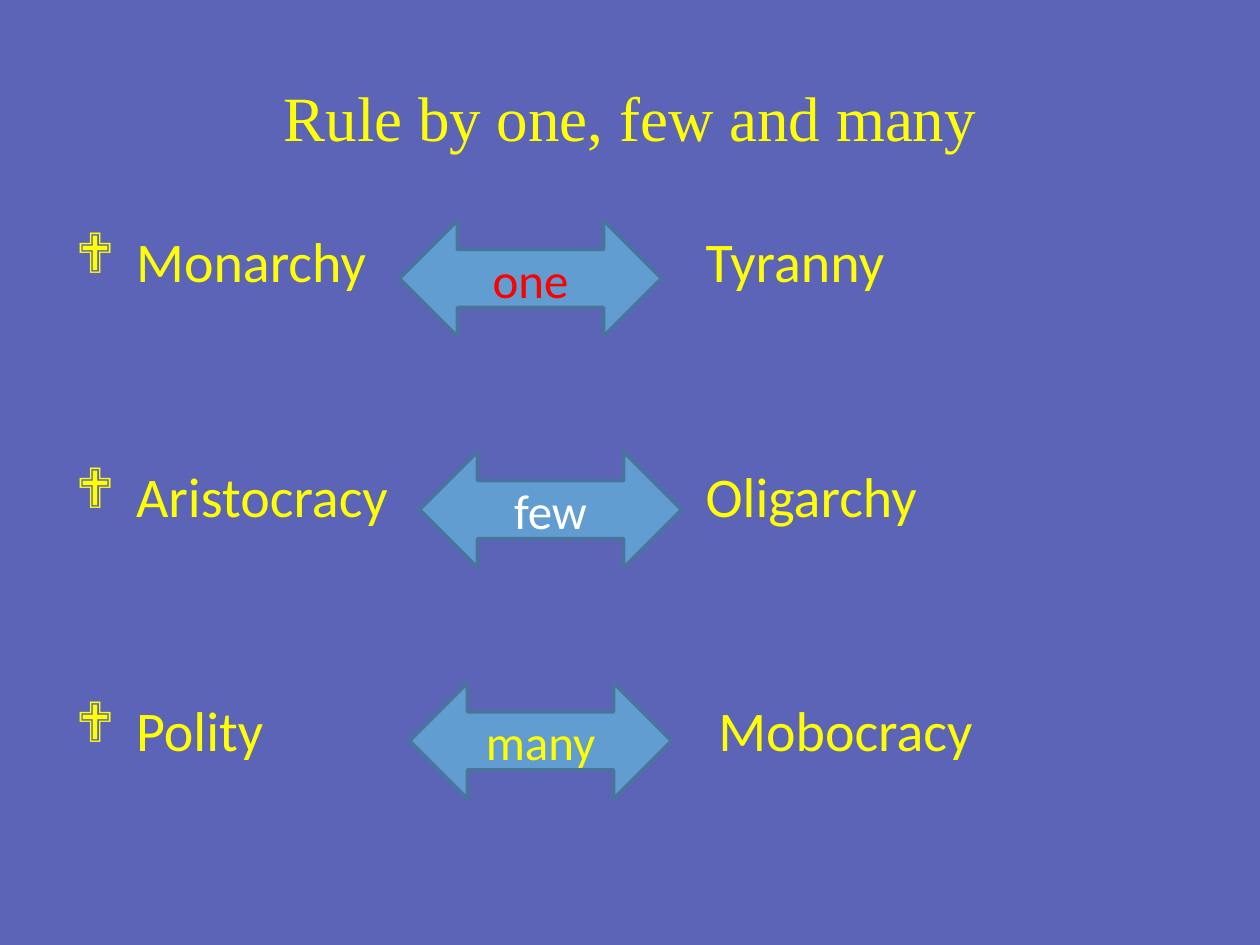
from typing import NamedTuple

from lxml.etree import SubElement
from pptx import Presentation
from pptx.dml.color import RGBColor
from pptx.enum.shapes import MSO_SHAPE
from pptx.enum.text import MSO_ANCHOR, MSO_AUTO_SIZE, PP_ALIGN
from pptx.oxml.ns import qn
from pptx.util import Inches, Pt

YELLOW = "FFFF00"
BACKGROUND = "5C64B7"
ARROW_FILL = "629DD1"
ARROW_LINE = "49749B"
ARROW_TOP, ARROW_PITCH = 1.75, 1.835
ARROW_WIDTH, ARROW_HEIGHT = 2.08, 0.92
HANGING_INDENT = 0.38
TAB_POSITION = 5
FIRST_SPACE, ROW_SPACE = 6, 95.5


class Regime(NamedTuple):
    good_form: str
    corrupt_form: str
    rulers: str
    rulers_color: str
    arrow_left: float


REGIMES = [
    Regime("Monarchy", "Tyranny", "one", "FF0000", 3.17),
    Regime("Aristocracy", "Oligarchy", "few", "FFFFFF", 3.33),
    Regime("Polity", " Mobocracy", "many", YELLOW, 3.25),
]


def color(value: str) -> RGBColor:
    return RGBColor.from_string(value)


def write(paragraph, text: str, size: float, text_color: str, name: str = "Calibri") -> None:
    run = paragraph.add_run()
    run.text = text
    for attribute, value in {"size": Pt(size), "name": name}.items():
        setattr(run.font, attribute, value)
    run.font.color.rgb = color(text_color)


def place(shape, left: float, top: float, width: float, height: float) -> None:
    box = {"left": left, "top": top, "width": width, "height": height}
    for attribute, value in box.items():
        setattr(shape, attribute, Inches(value))


def format_list_item(paragraph) -> None:
    """Give the paragraph a diamond bullet, a hanging indent and a tab stop."""
    properties = paragraph._p.get_or_add_pPr()
    properties.set("marL", str(Inches(HANGING_INDENT)))
    properties.set("indent", str(-Inches(HANGING_INDENT)))
    SubElement(properties, qn("a:buFont"), typeface="Wingdings")
    SubElement(properties, qn("a:buChar"), char="❖")
    tabs = SubElement(properties, qn("a:tabLst"))
    SubElement(tabs, qn("a:tab"), pos=str(Inches(TAB_POSITION)), algn="l")


def fill_list(body, regimes: list[Regime]) -> None:
    frame = body.text_frame
    frame.auto_size = MSO_AUTO_SIZE.NONE
    for index, regime in enumerate(regimes):
        paragraph = frame.add_paragraph() if index else frame.paragraphs[0]
        paragraph.space_before = Pt(ROW_SPACE if index else FIRST_SPACE)
        format_list_item(paragraph)
        write(paragraph, f" {regime.good_form}\t{regime.corrupt_form}", 32, YELLOW)


def add_arrow(slide, regime: Regime, top: float) -> None:
    arrow = slide.shapes.add_shape(
        MSO_SHAPE.LEFT_RIGHT_ARROW, Inches(regime.arrow_left), Inches(top),
        Inches(ARROW_WIDTH), Inches(ARROW_HEIGHT))
    arrow.shadow.inherit = False
    arrow.fill.solid()
    arrow.fill.fore_color.rgb = color(ARROW_FILL)
    arrow.line.color.rgb = color(ARROW_LINE)
    arrow.line.width = Pt(2)
    arrow.text_frame.vertical_anchor = MSO_ANCHOR.MIDDLE
    paragraph = arrow.text_frame.paragraphs[0]
    paragraph.alignment = PP_ALIGN.CENTER
    write(paragraph, regime.rulers, 28, regime.rulers_color)


def main() -> None:
    presentation = Presentation()
    presentation.slide_width, presentation.slide_height = Inches(10), Inches(7.5)
    slide = presentation.slides.add_slide(presentation.slide_layouts[1])
    slide.background.fill.solid()
    slide.background.fill.fore_color.rgb = color(BACKGROUND)

    title, body = slide.placeholders
    place(title, 0.5, 0.3, 9, 1.25)
    title.text_frame.vertical_anchor = MSO_ANCHOR.MIDDLE
    heading = title.text_frame.paragraphs[0]
    heading.alignment = PP_ALIGN.CENTER
    write(heading, "Rule by one, few and many", 36, YELLOW, "Times New Roman")

    place(body, 0.5, 1.75, 9, 4.95)
    fill_list(body, REGIMES)
    for index, regime in enumerate(REGIMES):
        add_arrow(slide, regime, ARROW_TOP + index * ARROW_PITCH)

    presentation.save("out.pptx")


if __name__ == "__main__":
    main()
